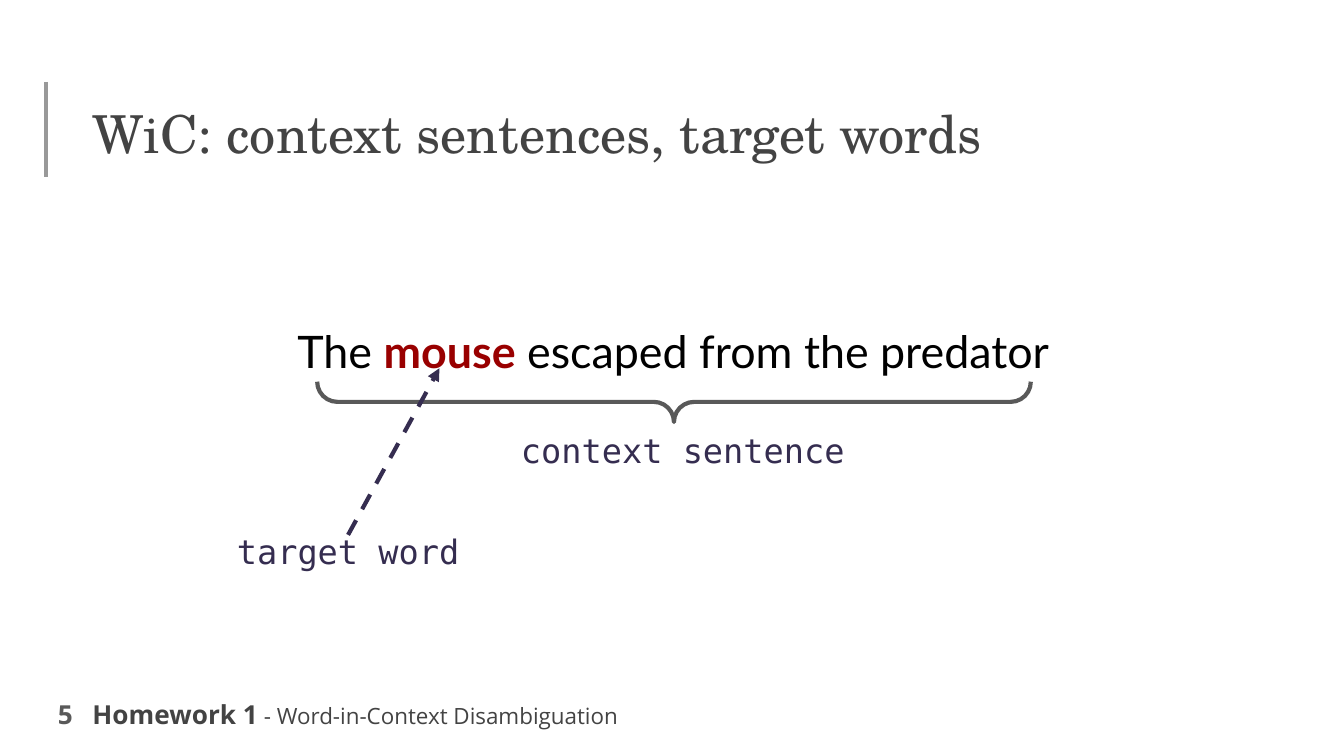
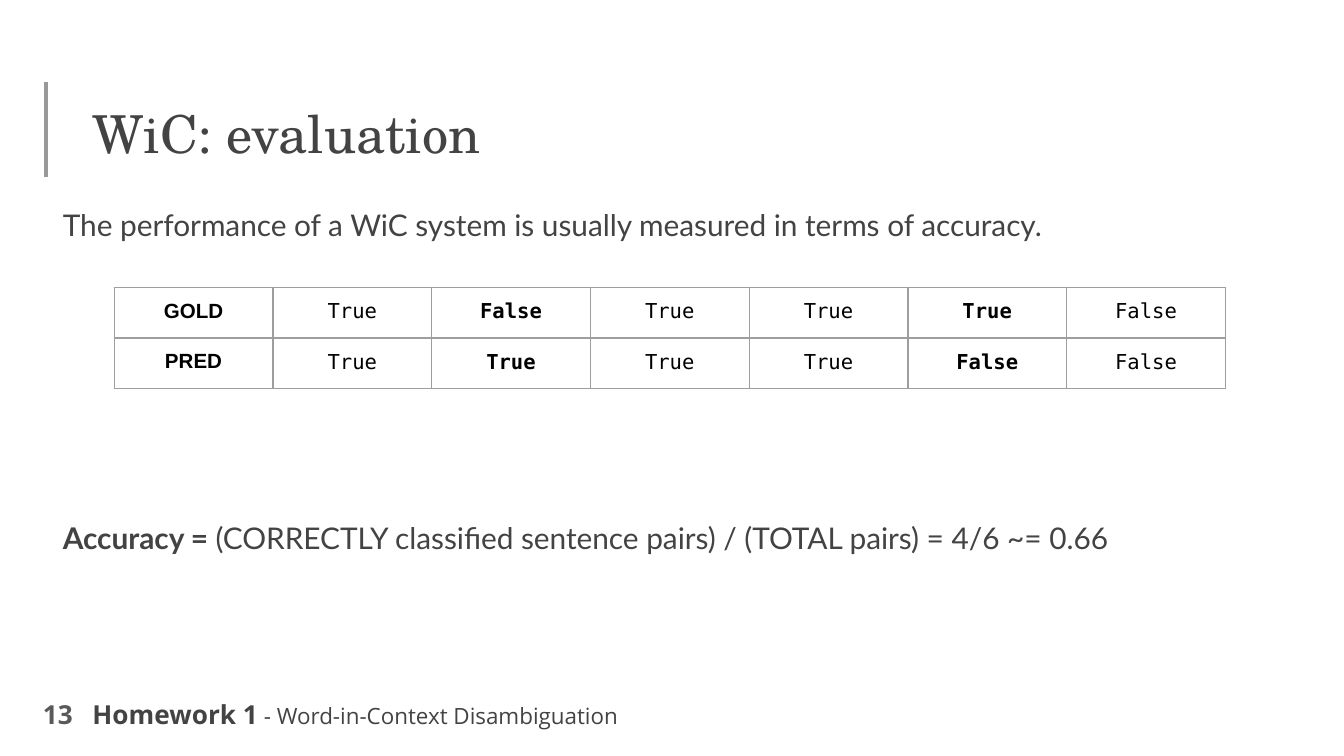
from pptx import Presentation
from pptx.dml.color import RGBColor
from pptx.enum.dml import MSO_LINE
from pptx.enum.shapes import MSO_CONNECTOR, MSO_SHAPE
from pptx.enum.text import MSO_ANCHOR, PP_ALIGN
from pptx.oxml.ns import qn
from pptx.util import Inches, Pt
from lxml.etree import SubElement

BLACK = RGBColor(0x00, 0x00, 0x00)
DARK_GRAY = RGBColor(0x43, 0x43, 0x43)
MID_GRAY = RGBColor(0x59, 0x59, 0x59)
BAR_GRAY = RGBColor(0x99, 0x99, 0x99)
BORDER_GRAY = RGBColor(0x9E, 0x9E, 0x9E)
RED = RGBColor(0x99, 0x00, 0x00)
INDIGO = RGBColor(0x35, 0x2D, 0x50)

TITLE_FONT = "TeX Gyre Schola"
FOOTER_FONT = "Open Sans"
BODY_FONT = "Lato"
CODE_FONT = "DejaVu Sans Mono"
LABEL_FONT = "Arial"


def write_text(paragraph, text, font, size, color, bold=False, align=PP_ALIGN.LEFT):
    """Append one formatted run to the paragraph and align the paragraph."""
    paragraph.alignment = align
    run = paragraph.add_run()
    run.text = text
    run.font.name = font
    run.font.size = Pt(size)
    run.font.color.rgb = color
    run.font.bold = bold


class Deck:
    """Holds the presentation, its shared style and the current slide."""

    def __init__(self):
        self.presentation = Presentation()
        self.presentation.slide_width = Inches(10)
        self.presentation.slide_height = Inches(5.625)
        self.slide = None

    def add_slide(self, title, number):
        """Start a slide with the side bar, title, page number and footer."""
        layout = self.presentation.slide_layouts[6]
        self.slide = self.presentation.slides.add_slide(layout)
        self.line((0.34, 0.61), (0.34, 1.32), BAR_GRAY)
        self.text(0.59, 0.65, 9.07, 0.63, title, font=TITLE_FONT, size=28, color=DARK_GRAY)
        self.text(0.04, 5.1, 0.6, 0.43, str(number), anchor=MSO_ANCHOR.MIDDLE,
                  font=FOOTER_FONT, size=14, color=MID_GRAY, bold=True, align=PP_ALIGN.RIGHT)
        footer = self.text(0.59, 5.1, 7.6, 0.43, "Homework 1",
                           font=FOOTER_FONT, size=14, color=DARK_GRAY, bold=True)
        footer.space_after = Pt(16)
        write_text(footer, " - Word-in-Context Disambiguation", FOOTER_FONT, 12, DARK_GRAY)

    def text(self, left, top, width, height, text, anchor=MSO_ANCHOR.TOP, **style):
        """Add a text box and return its paragraph, so more runs can follow."""
        box = self.slide.shapes.add_textbox(
            Inches(left), Inches(top), Inches(width), Inches(height))
        frame = box.text_frame
        frame.word_wrap = True
        frame.vertical_anchor = anchor
        frame.margin_left = frame.margin_right = Inches(0.1)
        frame.margin_top = frame.margin_bottom = Inches(0.1)
        paragraph = frame.paragraphs[0]
        write_text(paragraph, text, **style)
        return paragraph

    def label(self, left, top, text):
        self.text(left, top, 2.98, 0.24, text, anchor=MSO_ANCHOR.MIDDLE,
                  font=CODE_FONT, size=18, color=INDIGO, align=PP_ALIGN.CENTER)

    def line(self, start, end, color, dashed_arrow=False):
        points = [Inches(value) for value in (*start, *end)]
        connector = self.slide.shapes.add_connector(MSO_CONNECTOR.STRAIGHT, *points)
        connector.line.color.rgb = color
        connector.line.width = Pt(2.25)
        properties = connector.line._get_or_add_ln()
        if dashed_arrow:
            connector.line.dash_style = MSO_LINE.DASH
            SubElement(properties, qn("a:tailEnd"), type="triangle")
        SubElement(properties.getparent(), qn("a:effectLst"))

    def brace_below(self, left, top, width, height):
        """Draw a brace that opens upwards, by turning a left brace."""
        shape = self.slide.shapes.add_shape(
            MSO_SHAPE.LEFT_BRACE,
            Inches(left + (width - height) / 2), Inches(top + (height - width) / 2),
            Inches(height), Inches(width))
        shape.rotation = 270
        shape.adjustments[0] = 0.5
        shape.adjustments[1] = 0.5
        shape.shadow.inherit = False
        shape.fill.background()
        shape.line.color.rgb = MID_GRAY
        shape.line.width = Pt(2.25)

    def table(self, left, top, width, height, rows):
        """Add a table of (heading, values) rows; columns that differ are bold."""
        column_count = 1 + len(rows[0][1])
        table = self.slide.shapes.add_table(
            len(rows), column_count,
            Inches(left), Inches(top), Inches(width), Inches(height)).table
        table.first_row = table.horz_banding = False
        differs = [len(set(column)) > 1 for column in zip(*(values for _, values in rows))]
        for row, (heading, values) in enumerate(rows):
            self.cell(table.cell(row, 0), heading, LABEL_FONT, True)
            for column, (value, bold) in enumerate(zip(values, differs), start=1):
                self.cell(table.cell(row, column), value, CODE_FONT, bold)

    def cell(self, cell, text, font, bold):
        cell.margin_left = cell.margin_right = Inches(0.1)
        cell.margin_top = cell.margin_bottom = Inches(0.09)
        properties = cell._tc.get_or_add_tcPr()
        for side in ("lnL", "lnR", "lnT", "lnB"):
            border = SubElement(properties, qn(f"a:{side}"), w=str(Pt(0.75)))
            fill = SubElement(border, qn("a:solidFill"))
            SubElement(fill, qn("a:srgbClr"), val=str(BORDER_GRAY))
        cell.fill.background()
        write_text(cell.text_frame.paragraphs[0], text, font, 11, BLACK,
                   bold=bold, align=PP_ALIGN.CENTER)


def build_context_slide(deck):
    deck.add_slide("WiC: context sentences, target words", 5)
    deck.label(3.59, 3.23, "context sentence")
    style = {"font": BODY_FONT, "size": 24, "align": PP_ALIGN.CENTER}
    sentence = deck.text(0.01, 2.38, 10, 0.46, "The ", anchor=MSO_ANCHOR.MIDDLE,
                         color=BLACK, **style)
    write_text(sentence, "mouse", color=RED, bold=True, **style)
    write_text(sentence, " escaped from the predator", color=BLACK, **style)
    deck.brace_below(2.36, 2.84, 5.31, 0.3)
    deck.label(1.1, 3.98, "target word")
    deck.line((2.59, 3.98), (3.27, 2.74), INDIGO, dashed_arrow=True)


def build_evaluation_slide(deck):
    deck.add_slide("WiC: evaluation", 13)
    style = {"font": BODY_FONT, "size": 16, "color": DARK_GRAY}
    deck.text(0.37, 1.44, 8.06, 0.7,
              "The performance of a WiC system is usually measured in terms of accuracy.",
              **style)
    deck.table(0.85, 2.14, 8.27, 0.75, [
        ("GOLD", ["True", "False", "True", "True", "True", "False"]),
        ("PRED", ["True", "True", "True", "True", "False", "False"]),
    ])
    accuracy = deck.text(0.37, 3.77, 8.2, 1.76, "Accuracy = ", bold=True, **style)
    write_text(accuracy,
               "(CORRECTLY classified sentence pairs) / (TOTAL pairs) = 4/6 ~= 0.66",
               **style)


def main():
    deck = Deck()
    build_context_slide(deck)
    build_evaluation_slide(deck)
    deck.presentation.save("out.pptx")


if __name__ == "__main__":
    main()
